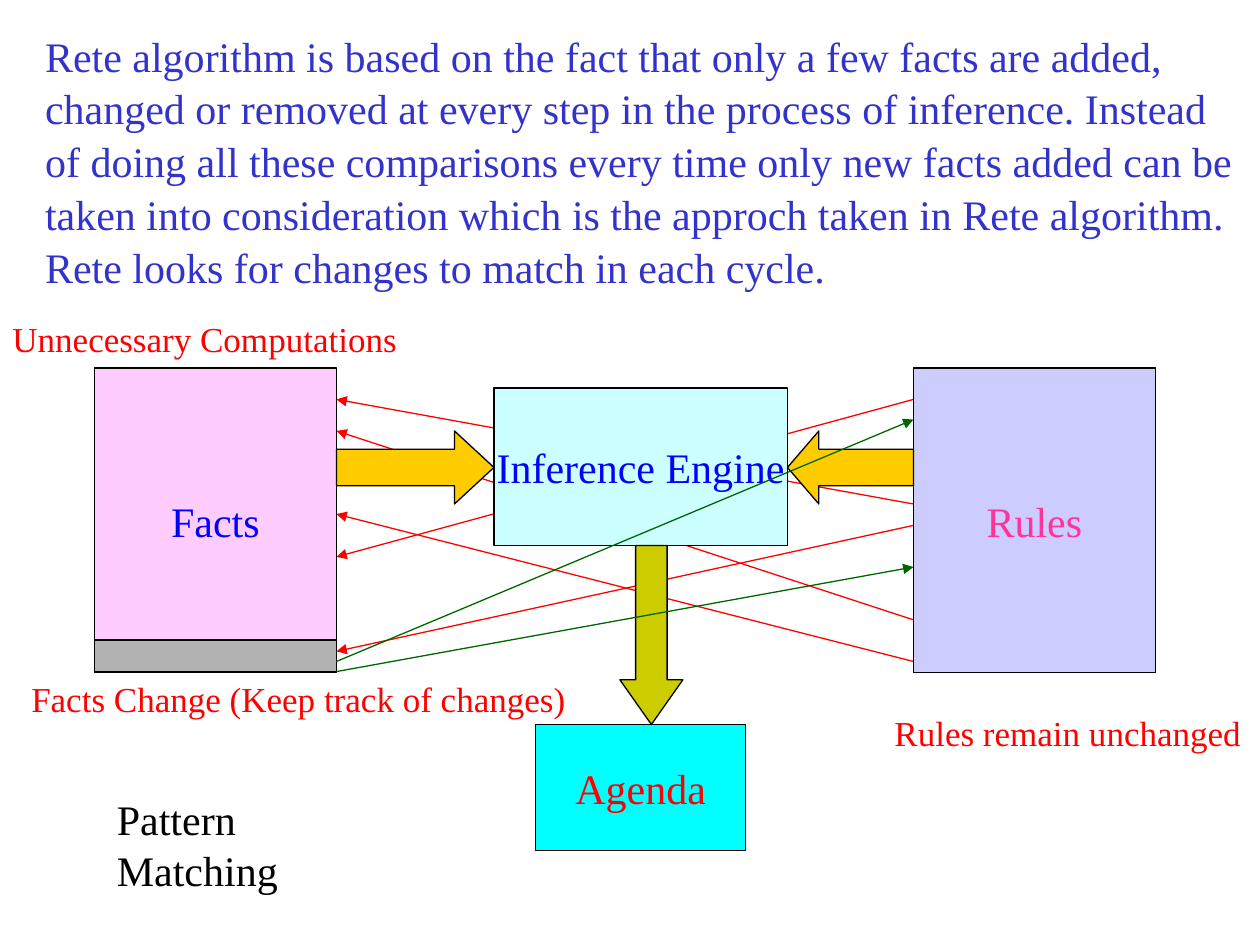
from dataclasses import dataclass

import lxml.etree
import pptx
import pptx.dml.color
import pptx.enum.shapes
import pptx.enum.text
import pptx.oxml.ns
import pptx.util

Inches = pptx.util.Inches
Pt = pptx.util.Pt
SHAPE = pptx.enum.shapes.MSO_SHAPE
FONT = "Times New Roman"
COLORS = {
    "black": "000000", "red": "FF0000", "blue": "0000FF", "indigo": "3333CC",
    "magenta": "FF3399", "green": "006600", "pink": "FFCCFF", "lavender": "CCCCFF",
    "pale_cyan": "CCFFFF", "cyan": "00FFFF", "gold": "FFCC00", "olive": "CCCC00",
    "gray": "B2B2B2",
}
FACTS_RIGHT, RULES_LEFT = 2.67, 7.25


@dataclass
class Block:
    left: float
    top: float
    width: float
    height: float
    fill: str
    text: str = ""
    color: str = "black"
    kind: int = SHAPE.RECTANGLE
    head: float = 0


@dataclass
class Label:
    left: float
    top: float
    width: float
    height: float
    text: str
    color: str = "red"
    size: int = 20
    wrap: bool = False
    spacing: float = 1.0


INTRO = Label(
    0.26, 0.17, 9.74, 2.2,
    "Rete algorithm is based on the fact that only a few facts are added, changed or "
    "removed at every step in the process of inference. Instead of doing all these "
    "comparisons every time only new facts added can be taken into consideration which "
    "is the approch taken in Rete algorithm. Rete looks for changes to match in each cycle.",
    "indigo", 24, True, 1.05)

# Heights at the rules side and at the facts side
COMPARISONS = [(3.17, 4.42), (4, 3.17), (4.92, 3.42), (5.25, 4.08), (4.17, 5.17)]
# Heights at the facts side and at the rules side
CHANGES = [(5.25, 3.33), (5.33, 4.5)]

BLOCKS = [
    Block(0.75, 2.92, 1.92, 2.42, "pink", "Facts", "blue"),
    Block(RULES_LEFT, 2.92, 1.92, 2.42, "lavender", "Rules", "magenta"),
    Block(3.92, 3.08, 2.33, 1.25, "pale_cyan", "Inference Engine", "blue"),
    Block(FACTS_RIGHT, 3.42, 1.25, 0.58, "gold", kind=SHAPE.RIGHT_ARROW, head=0.54),
    Block(6.25, 3.42, 1, 0.58, "gold", kind=SHAPE.LEFT_ARROW, head=0.43),
    Block(4.25, 5.75, 1.67, 1, "cyan", "Agenda", "red"),
    Block(4.92, 4.33, 0.5, 1.42, "olive", kind=SHAPE.DOWN_ARROW, head=0.71),
    Block(0.75, 5.08, 1.92, 0.25, "gray"),
]

LABELS = [
    Label(0.83, 6.25, 2.5, 0.5, "Pattern Matching", "black", 24),
    Label(0, 2.47, 3.25, 0.44, "Unnecessary Computations"),
    Label(0.15, 5.33, 4.44, 0.44, "Facts Change (Keep track of changes)"),
    Label(7, 5.6, 2.95, 0.44, "Rules remain unchanged"),
]


def rgb(name: str) -> pptx.dml.color.RGBColor:
    return pptx.dml.color.RGBColor.from_string(COLORS[name])


def add_run(p, text: str, size: int, color: str) -> None:
    r = p.add_run()
    r.text = text
    r.font.name = FONT
    r.font.size = Pt(size)
    r.font.color.rgb = rgb(color)


def add_block(s, block: Block) -> None:
    sp = s.shapes.add_shape(block.kind, Inches(block.left), Inches(block.top),
                            Inches(block.width), Inches(block.height))
    sp.shadow.inherit = False
    sp.fill.solid()
    sp.fill.fore_color.rgb = rgb(block.fill)
    sp.line.color.rgb = rgb("black")
    sp.line.width = Pt(0.75)
    if block.head:
        sp.adjustments[1] = block.head
    if block.text:
        tf = sp.text_frame
        tf.word_wrap = False
        tf.vertical_anchor = pptx.enum.text.MSO_ANCHOR.MIDDLE
        p = tf.paragraphs[0]
        p.alignment = pptx.enum.text.PP_ALIGN.CENTER
        add_run(p, block.text, 24, block.color)


def add_label(s, label: Label) -> None:
    sp = s.shapes.add_textbox(Inches(label.left), Inches(label.top),
                              Inches(label.width), Inches(label.height))
    tf = sp.text_frame
    tf.word_wrap = label.wrap
    tf.auto_size = pptx.enum.text.MSO_AUTO_SIZE.SHAPE_TO_FIT_TEXT
    p = tf.paragraphs[0]
    p.line_spacing = label.spacing
    add_run(p, label.text, label.size, label.color)


def add_arrow(s, x1: float, y1: float, x2: float, y2: float, color: str) -> None:
    line = s.shapes.add_connector(pptx.enum.shapes.MSO_CONNECTOR.STRAIGHT,
                                  Inches(x1), Inches(y1), Inches(x2), Inches(y2))
    line.line.color.rgb = rgb(color)
    line.line.width = Pt(0.75)
    qn = pptx.oxml.ns.qn
    lxml.etree.SubElement(line.line._get_or_add_ln(), qn("a:tailEnd"), type="triangle")
    lxml.etree.SubElement(line._element.spPr, qn("a:effectLst"))


def main() -> None:
    prs = pptx.Presentation()
    prs.slide_width, prs.slide_height = Inches(10), Inches(7.5)
    s = prs.slides.add_slide(prs.slide_layouts[6])

    # Introduction
    add_label(s, INTRO)

    # Comparisons run behind the blocks
    for rules_y, facts_y in COMPARISONS:
        add_arrow(s, RULES_LEFT, rules_y, FACTS_RIGHT, facts_y, "red")

    # Blocks and captions
    for block in BLOCKS:
        add_block(s, block)
    for label in LABELS:
        add_label(s, label)

    # Changed facts run in front
    for facts_y, rules_y in CHANGES:
        add_arrow(s, FACTS_RIGHT, facts_y, RULES_LEFT, rules_y, "green")

    prs.save("out.pptx")


if __name__ == "__main__":
    main()
